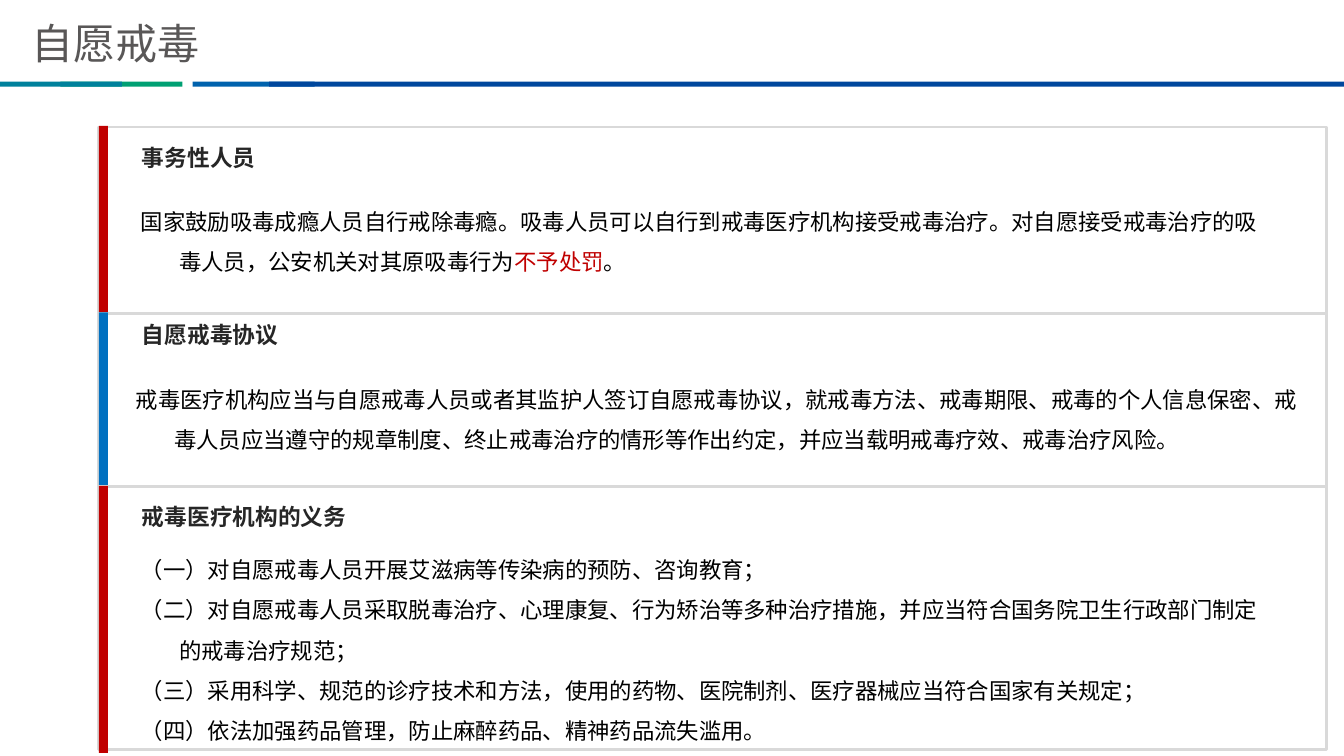
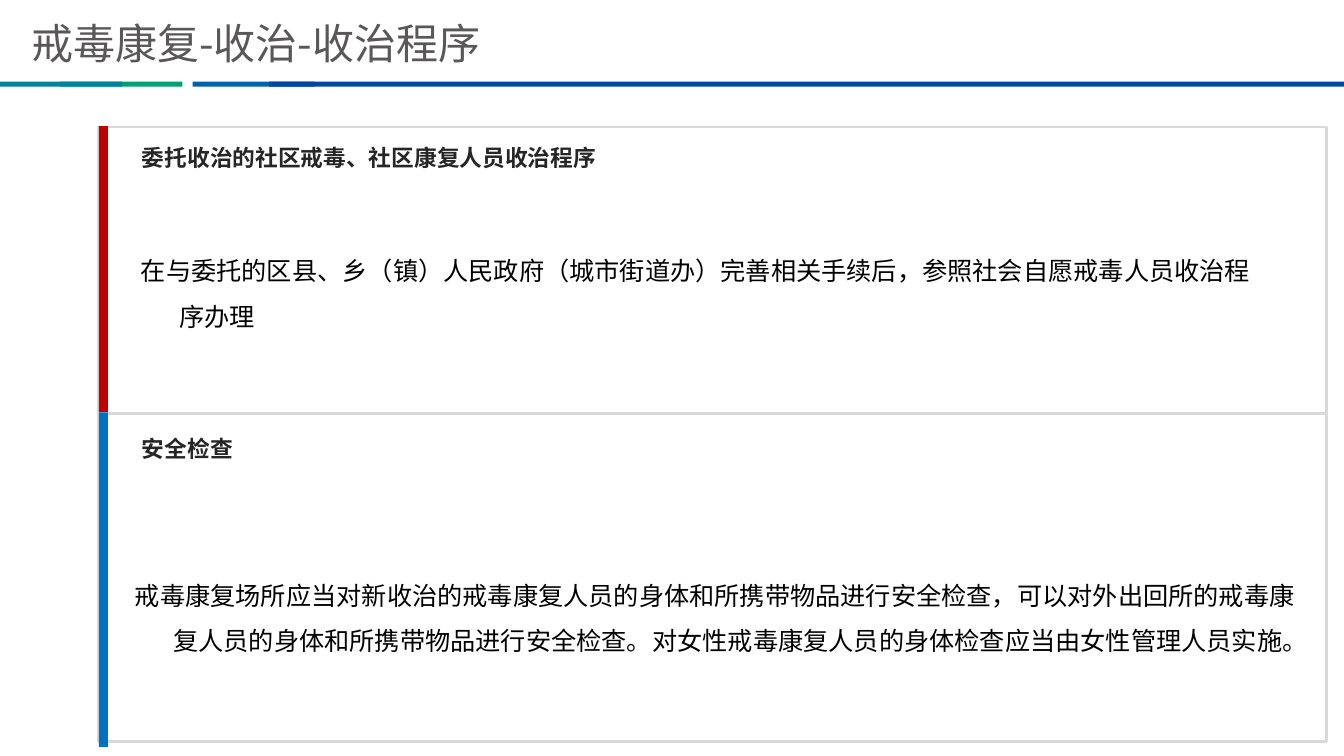
from dataclasses import dataclass

from lxml.etree import SubElement
from pptx import Presentation
from pptx.dml.color import RGBColor
from pptx.enum.shapes import MSO_SHAPE
from pptx.enum.text import MSO_ANCHOR
from pptx.oxml.ns import qn
from pptx.util import Pt

UNIT = 9144


@dataclass(frozen=True)
class Theme:
    teal: str = "00819C"
    green: str = "00A073"
    azure: str = "0062AD"
    navy: str = "00479D"
    red: str = "C00000"
    blue: str = "0070C0"
    white: str = "FFFFFF"
    edge: str = "D9D9D9"
    title: str = "595757"
    head: str = "262626"
    ink: str = "000000"
    sans: str = "Noto Sans CJK SC"
    latin: str = "Arial"
    title_size: float = 30
    head_size: float = 16.2
    small: float = 16
    large: float = 18
    line: float = 2


THEME = Theme()


@dataclass(frozen=True)
class Part:
    top: int
    height: int
    tint: str
    head: str
    head_top: int
    body: tuple
    size: float
    text: tuple
    tail: int = 0


def px(*sizes):
    return [size * UNIT for size in sizes]


def add_rect(slide, box, fill, edge=None):
    rect = slide.shapes.add_shape(MSO_SHAPE.RECTANGLE, *px(*box))
    rect.shadow.inherit = False
    rect.fill.solid()
    rect.fill.fore_color.rgb = RGBColor.from_string(fill)
    if edge:
        rect.line.color.rgb = RGBColor.from_string(edge)
        rect.line.width = Pt(THEME.line)
    else:
        rect.line.fill.background()


def add_text(slide, box, lines, size, tint, face=THEME.sans, bold=False, hang=0, space=None):
    frame = slide.shapes.add_textbox(*px(*box)).text_frame
    frame.word_wrap = True
    frame.vertical_anchor = MSO_ANCHOR.MIDDLE
    for num, line in enumerate(lines):
        para = frame.add_paragraph() if num else frame.paragraphs[0]
        props = para._p.get_or_add_pPr()
        if hang:
            props.set("marL", str(hang * UNIT))
            props.set("indent", str(-hang * UNIT))
        if space:
            para.line_spacing = space
        para.font.size = Pt(size)
        para.font.name = face
        para.font.bold = bold
        runs = [(line, tint)] if isinstance(line, str) else line
        if len(runs) == 1:
            para.font.color.rgb = RGBColor.from_string(tint)
        east = SubElement(props.find(qn("a:defRPr")), qn("a:ea"))
        east.set("typeface", THEME.sans)
        for words, shade in runs:
            run = para.add_run()
            run.text = words
            if len(runs) > 1:
                run.font.color.rgb = RGBColor.from_string(shade)


def add_top(slide, box, title):
    left, top, width, height = box
    bands = (
        (60, 121, THEME.green),
        (191, 121, THEME.azure),
        (267, width - 267, THEME.navy),
        (0, 121, THEME.teal),
    )
    for start, span, tint in bands:
        add_rect(slide, (left + start, top + height - 5, span, 5), tint)
    add_text(slide, (left + 21, top + 15, 598, 54), [title], THEME.title_size, THEME.title)


def add_part(slide, box, part):
    left, top, width, height = box
    add_rect(slide, box, THEME.white, THEME.edge)
    add_text(slide, (left + 33, top + part.head_top, 865, 40), [part.head],
             THEME.head_size, THEME.head, THEME.latin, bold=True)
    shift, drop, span, depth = part.body
    add_text(slide, (left + shift, top + drop, span, depth), part.text,
             part.size, THEME.ink, hang=38, space=1.5)
    add_rect(slide, (left, top - 1, 9, height + 1 + part.tail), part.tint)


def add_page(deck, title, parts):
    slide = deck.slides.add_slide(deck.slide_layouts[6])
    add_top(slide, (0, 0, 1334, 86), title)
    for part in parts:
        add_part(slide, (98, part.top, 1218, part.height), part)


PAGES = {
    "自愿戒毒": (
        Part(126, 185, THEME.red, "事务性人员", 10, (32, 59, 1140, 96), THEME.small, (
            (
                ("国家鼓励吸毒成瘾人员自行戒除毒瘾。吸毒人员可以自行到戒毒医疗机构接受戒毒治疗。"
                 "对自愿接受戒毒治疗的吸毒人员，公安机关对其原吸毒行为", THEME.ink),
                ("不予处罚", THEME.red),
                ("。", THEME.ink),
            ),
        )),
        Part(311, 173, THEME.blue, "自愿戒毒协议", 1, (27, 41, 1192, 115), THEME.small, (
            "戒毒医疗机构应当与自愿戒毒人员或者其监护人签订自愿戒毒协议，就戒毒方法、戒毒期限、"
            "戒毒的个人信息保密、戒毒人员应当遵守的规章制度、终止戒毒治疗的情形等作出约定，"
            "并应当载明戒毒疗效、戒毒治疗风险。",
        )),
        Part(483, 261, THEME.red, "戒毒医疗机构的义务", 9, (32, 55, 1145, 201), THEME.small, (
            "（一）对自愿戒毒人员开展艾滋病等传染病的预防、咨询教育；",
            "（二）对自愿戒毒人员采取脱毒治疗、心理康复、行为矫治等多种治疗措施，"
            "并应当符合国务院卫生行政部门制定的戒毒治疗规范；",
            "（三）采用科学、规范的诊疗技术和方法，使用的药物、医院制剂、医疗器械应当符合国家有关规定；",
            "（四）依法加强药品管理，防止麻醉药品、精神药品流失滥用。",
        ), tail=3),
    ),
    "戒毒康复-收治-收治程序": (
        Part(126, 284, THEME.red, "委托收治的社区戒毒、社区康复人员收治程序", 10,
             (32, 59, 1140, 197), THEME.large, (
                 "在与委托的区县、乡（镇）人民政府（城市街道办）完善相关手续后，"
                 "参照社会自愿戒毒人员收治程序办理",
             )),
        Part(410, 326, THEME.blue, "安全检查", 15, (26, 88, 1192, 215), THEME.large, (
            "戒毒康复场所应当对新收治的戒毒康复人员的身体和所携带物品进行安全检查，"
            "可以对外出回所的戒毒康复人员的身体和所携带物品进行安全检查。"
            "对女性戒毒康复人员的身体检查应当由女性管理人员实施。",
        ), tail=5),
    ),
}


def main():
    deck = Presentation()
    deck.slide_width, deck.slide_height = px(1333, 750)
    for title, parts in PAGES.items():
        add_page(deck, title, parts)
    deck.save("out.pptx")


if __name__ == "__main__":
    main()
